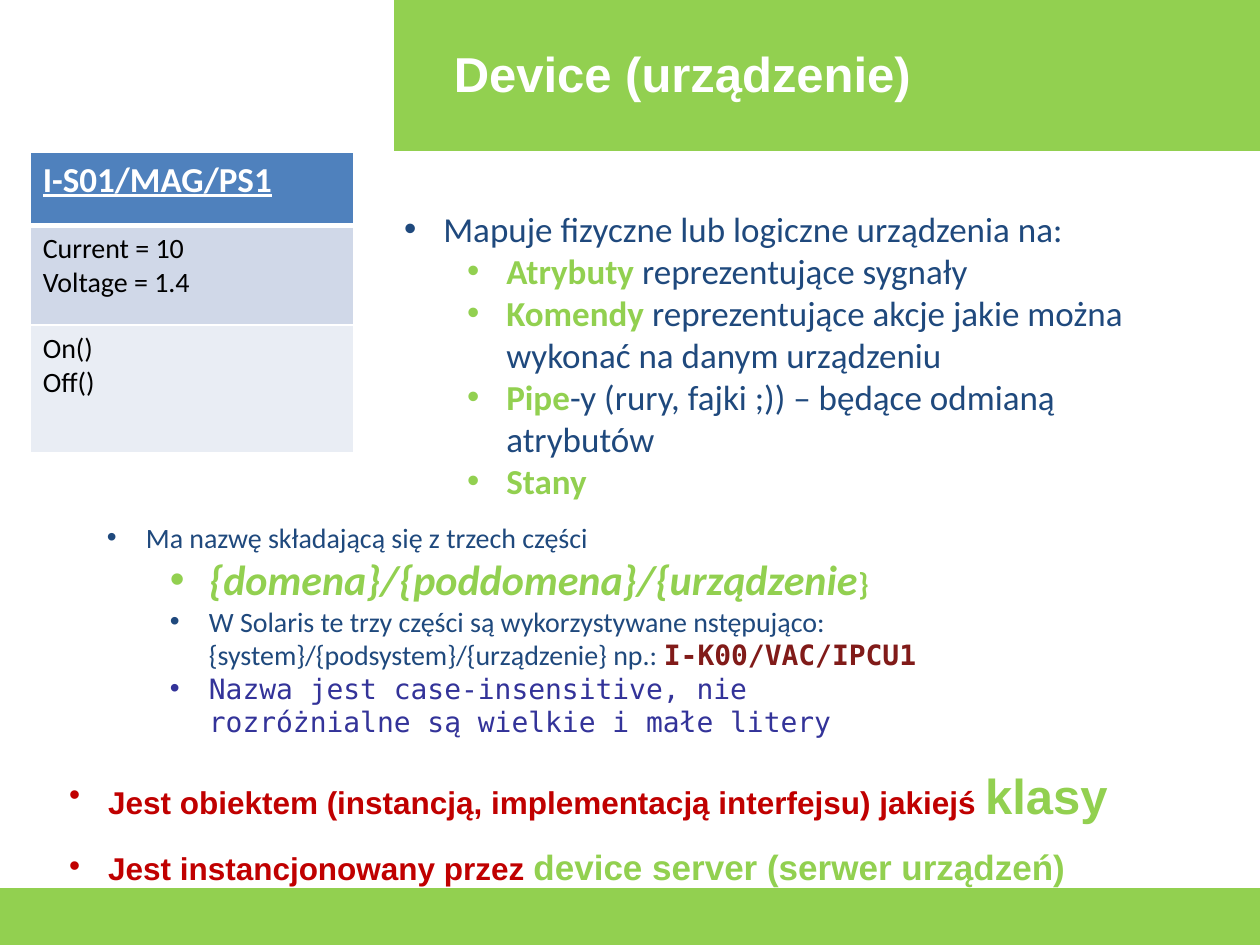
from lxml.etree import SubElement
from pptx import Presentation
from pptx.dml.color import RGBColor
from pptx.enum.shapes import MSO_SHAPE
from pptx.enum.text import MSO_ANCHOR, PP_ALIGN
from pptx.oxml import parse_xml
from pptx.oxml.ns import nsdecls, qn
from pptx.util import Inches, Pt

GREEN, NAVY, RED, WHITE, BLACK = "92D050", "1F497D", "C00000", "FFFFFF", "000000"
MONO = "DejaVu Sans Mono"
KEY = {"color": GREEN, "bold": True}
GRADIENT = [(0, GREEN), (16, GREEN), (16, WHITE), (94, "FCFDFE"), (94, GREEN), (100, GREEN)]

DEVICE_ROWS = [
    (0.58, "4F81BD", ["I-S01/MAG/PS1"], {"size": 20, "color": WHITE, "bold": True, "underline": True}, (1, 3)),
    (0.79, "D0D8E8", ["Current = 10", "Voltage = 1.4"], {"size": 16, "color": BLACK, "bold": False}, (3, 1)),
    (1.01, "E9EDF4", ["On()", "Off()"], {"size": 16, "color": BLACK, "bold": False}, (1, 1)),
]

LISTS = [
    ((3.11, 1.6, 6.02, 2.46), {"size": 20, "font": "Calibri", "color": NAVY}, 1, [
        (0, [("Mapuje fizyczne lub logiczne urządzenia na:", {})]),
        (1, [("Atrybuty ", KEY), ("reprezentujące sygnały", {})]),
        (1, [("Komendy", KEY), (" reprezentujące akcje jakie można wykonać na danym urządzeniu", {})]),
        (1, [("Pipe", KEY), ("-y (rury, fajki ;)) – będące odmianą atrybutów", {})]),
        (1, [("Stany", KEY)]),
    ]),
    ((0.75, 4.08, 6.65, 1.85), {"size": 16, "font": "Calibri", "color": NAVY}, 1, [
        (0, [("Ma nazwę składającą się z trzech części", {})]),
        (1, [("{domena}/{poddomena}/{urządzenie", KEY | {"size": 24, "italic": True}),
             ("}", KEY | {"size": 18})]),
        (1, [("W Solaris te trzy części są wykorzystywane nstępująco: "
              "{system}/{podsystem}/{urządzenie} np.: ", {}),
             ("I-K00/VAC/IPCU1", {"font": MONO, "color": "811B19", "bold": True})]),
        (1, [("Nazwa jest case-insensitive, nie rozróżnialne są wielkie i małe litery",
              {"font": MONO, "color": "333399"})]),
    ]),
    ((0.45, 5.79, 8.5, 1.31), {"size": 18, "font": "Arial", "color": RED, "bold": True}, 1.5, [
        (0, [("Jest obiektem (instancją, implementacją interfejsu) jakiejś ", {}),
             ("klasy", {"size": 28, "color": GREEN})]),
        (0, [("Jest instancjonowany przez ", {}),
             ("device server (serwer urządzeń)", {"size": 20, "color": GREEN})]),
    ]),
]


def rgb(value):
    """Turn a hex string into a colour."""
    return RGBColor.from_string(value)


def add_text(paragraph, text, size=16, font="Calibri", color=BLACK, bold=False, italic=False, underline=False):
    """Add one formatted run to a paragraph."""
    run = paragraph.add_run()
    run.text = text
    run.font.size = Pt(size)
    run.font.name = font
    run.font.color.rgb = rgb(color)
    run.font.bold = bold
    run.font.italic = italic
    run.font.underline = underline


def next_paragraph(frame, index):
    """Return the first paragraph of a frame or a new one."""
    return frame.add_paragraph() if index else frame.paragraphs[0]


def set_background(slide):
    """Paint green bands at the top and bottom of the slide."""
    fill = slide.background.fill
    fill.gradient()
    fill.gradient_angle = 270
    stops = slide.element.find(".//" + qn("a:gsLst"))
    for stop in list(stops):
        stops.remove(stop)
    for position, color in GRADIENT:
        stops.append(parse_xml(
            f'<a:gs {nsdecls("a")} pos="{position * 1000}"><a:srgbClr val="{color}"/></a:gs>'))


def add_corner(slide):
    """Cover the left part of the top band with white."""
    corner = slide.shapes.add_shape(MSO_SHAPE.RECTANGLE, 0, 0, Inches(3.11), Inches(1.23))
    corner.shadow.inherit = False
    corner.fill.solid()
    corner.fill.fore_color.rgb = rgb(WHITE)
    corner.line.color.rgb = rgb(WHITE)
    corner.line.width = Pt(2)


def set_title(slide, text):
    """Place and format the slide title."""
    title = slide.shapes.title
    title.left, title.top, title.width, title.height = map(Inches, (3.11, 0.29, 4.61, 0.57))
    title.text_frame.vertical_anchor = MSO_ANCHOR.MIDDLE
    paragraph = title.text_frame.paragraphs[0]
    paragraph.alignment = PP_ALIGN.CENTER
    add_text(paragraph, text, size=28, font="Arial", color=WHITE, bold=True)


def add_borders(cell, top, bottom):
    """Draw white borders round a cell."""
    properties = cell._tc.get_or_add_tcPr()
    widths = {"lnL": 1, "lnR": 1, "lnT": top, "lnB": bottom}
    for index, (tag, width) in enumerate(widths.items()):
        properties.insert(index, parse_xml(
            f'<a:{tag} {nsdecls("a")} w="{Pt(width)}"><a:solidFill>'
            f'<a:srgbClr val="{WHITE}"/></a:solidFill></a:{tag}>'))


def add_device_table(slide):
    """Add the table with the device name, attributes and commands."""
    height = sum(row[0] for row in DEVICE_ROWS)
    table = slide.shapes.add_table(
        len(DEVICE_ROWS), 1, Inches(0.24), Inches(1.21), Inches(2.57), Inches(height)).table
    for index, (row_height, fill, lines, style, borders) in enumerate(DEVICE_ROWS):
        table.rows[index].height = Inches(row_height)
        cell = table.cell(index, 0)
        cell.fill.solid()
        cell.fill.fore_color.rgb = rgb(fill)
        add_borders(cell, *borders)
        for number, line in enumerate(lines):
            add_text(next_paragraph(cell.text_frame, number), line, **style)


def add_bullet(paragraph, level):
    """Give a paragraph a hanging bullet."""
    paragraph.level = level
    properties = paragraph._p.get_or_add_pPr()
    properties.set("marL", str(Inches(0.31 + 0.5 * level)))
    properties.set("indent", str(Inches(-0.31)))
    SubElement(properties, qn("a:buFont"), typeface="Arial")
    SubElement(properties, qn("a:buChar"), char="•")


def add_list(slide, place, style, spacing, items):
    """Add a text box with a bulleted list."""
    frame = slide.shapes.add_textbox(*map(Inches, place)).text_frame
    frame.word_wrap = True
    for index, (level, runs) in enumerate(items):
        paragraph = next_paragraph(frame, index)
        add_bullet(paragraph, level)
        paragraph.line_spacing = spacing
        for text, changes in runs:
            add_text(paragraph, text, **(style | changes))


def main():
    """Build and save the slide."""
    presentation = Presentation()
    presentation.slide_width, presentation.slide_height = Inches(10), Inches(7.5)
    slide = presentation.slides.add_slide(presentation.slide_layouts[5])
    set_background(slide)
    add_corner(slide)
    set_title(slide, "Device (urządzenie)")
    add_device_table(slide)
    for content in LISTS:
        add_list(slide, *content)
    presentation.save("out.pptx")


if __name__ == "__main__":
    main()
